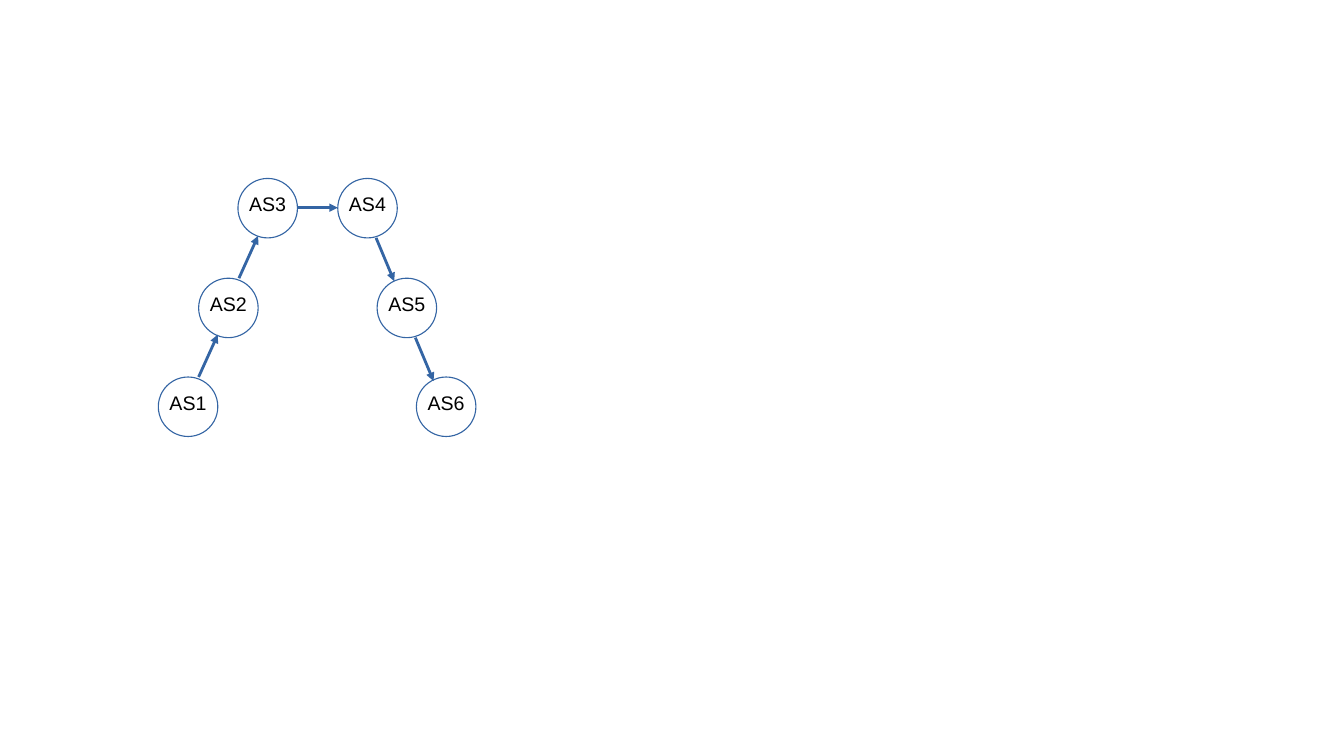
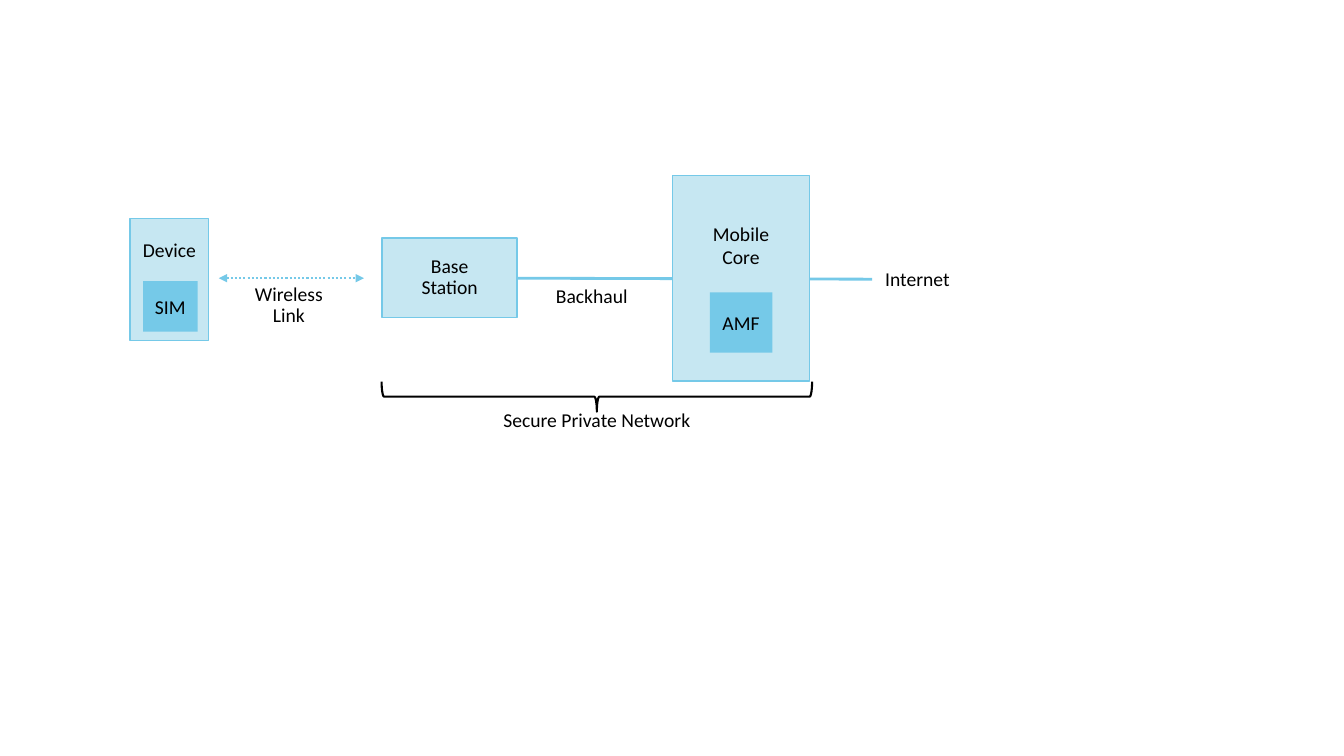
from lxml import etree
from pptx import Presentation
from pptx.dml.color import RGBColor
from pptx.enum.dml import MSO_LINE
from pptx.enum.shapes import MSO_CONNECTOR, MSO_SHAPE
from pptx.enum.text import MSO_ANCHOR, PP_ALIGN
from pptx.oxml.ns import qn
from pptx.util import Emu, Pt

PX = 9144  # 100 px to the inch
BLACK, WHITE = "000000", "FFFFFF"
NAVY, SKY, PALE = "3465A4", "75C9E8", "C6E7F2"
NODE = 59  # diameter of an AS node


def px(n):
    return Emu(n * PX)


def rgb(color):
    return RGBColor.from_string(color)


def write(sp, text, font="Calibri", size=14, color=BLACK, anchor=MSO_ANCHOR.TOP,
          insets=(10, 5, 10, 5), spacing=None, wrap=True):
    """Fill a shape with centred text, one paragraph per line."""
    tf = sp.text_frame
    tf.word_wrap = wrap
    tf.vertical_anchor = anchor
    tf.margin_left, tf.margin_top, tf.margin_right, tf.margin_bottom = map(px, insets)
    for i, line in enumerate(text.split("\n")):
        p = tf.add_paragraph() if i else tf.paragraphs[0]
        p.alignment = PP_ALIGN.CENTER
        p.line_spacing = spacing
        r = p.add_run()
        r.text = line
        r.font.name, r.font.size, r.font.color.rgb = font, Pt(size), rgb(color)


def shape(s, kind, x, y, w, h, fill=None, line=None, weight=1):
    sp = s.shapes.add_shape(kind, px(x), px(y), px(w), px(h))
    sp.shadow.inherit = False
    if fill:
        sp.fill.solid()
        sp.fill.fore_color.rgb = rgb(fill)
    else:
        sp.fill.background()
    if line:
        sp.line.color.rgb = rgb(line)
        sp.line.width = Pt(weight)
    else:
        sp.line.fill.background()
    return sp


def box(s, x, y, w, h, text, fill=PALE, line=SKY, **fmt):
    write(shape(s, MSO_SHAPE.RECTANGLE, x, y, w, h, fill, line), text, **fmt)


def label(s, x, y, w, h, text, **fmt):
    write(s.shapes.add_textbox(px(x), px(y), px(w), px(h)), text, **fmt)


def connect(s, x1, y1, x2, y2, color, weight, ends=(), dash=None):
    """Draw a line; ends names the ends that carry a triangle."""
    c = s.shapes.add_connector(MSO_CONNECTOR.STRAIGHT, px(x1), px(y1), px(x2), px(y2))
    c.line.color.rgb = rgb(color)
    c.line.width = Pt(weight)
    if dash:
        c.line.dash_style = dash
    ln = c.line._get_or_add_ln()
    for end in ends:
        etree.SubElement(ln, qn(f"a:{end}"), type="triangle")
    etree.SubElement(c._element.spPr, qn("a:effectLst"))


def as_path_slide(s):
    # Top left corner of each node, and the way to the next one
    nodes = [(157, 374, "up"), (197, 276, "up"), (236, 177, "right"),
             (335, 177, "down"), (374, 276, "down"), (413, 374, None)]
    # Arrow start and end, relative to the node's corner
    steps = {"up": (40, 0, 59, -42), "right": (NODE, 29, 99, 29),
             "down": (38, NODE, 56, 102)}
    for i, (x, y, _) in enumerate(nodes, 1):
        sp = shape(s, MSO_SHAPE.OVAL, x, y, NODE, NODE, WHITE, NAVY, 0.79)
        write(sp, f"AS{i}", font="Arial", anchor=MSO_ANCHOR.MIDDLE,
              insets=(0, 0, 0, 8), wrap=False)
    for x, y, way in nodes[:-1]:
        dx1, dy1, dx2, dy2 = steps[way]
        connect(s, x + dx1, y + dy1, x + dx2, y + dy2, NAVY, 0, ["tailEnd"])


def mobile_network_slide(s):
    middle = MSO_ANCHOR.MIDDLE
    # Links
    connect(s, 865, 277, 513, 276, SKY, 2)
    connect(s, 217, 276, 361, 276, SKY, 1.5, ["headEnd", "tailEnd"], MSO_LINE.ROUND_DOT)
    # Network elements and their inner parts
    box(s, 379, 236, 134, 79, "Base\nStation", anchor=middle, spacing=0.9)
    box(s, 129, 217, 78, 121, "Device", insets=(10, 19, 10, 5))
    box(s, 142, 279, 54, 50, "SIM", SKY, None, anchor=middle)
    box(s, 667, 174, 136, 204, "Mobile\nCore", insets=(10, 46, 10, 5))
    box(s, 704, 290, 62, 60, "AMF", SKY, None, anchor=middle)
    # Brace under the private network
    brace = shape(s, MSO_SHAPE.LEFT_BRACE, 577, 180, 30, 427, None, BLACK, 1.5)
    brace.rotation = 270
    # Captions
    label(s, 448, 400, 288, 34, "Secure Private Network")
    label(s, 497, 277, 180, 34, "Backhaul")
    label(s, 214, 277, 145, 53, "Wireless\nLink", spacing=0.9)
    label(s, 820, 260, 180, 34, "Internet")


def main():
    prs = Presentation()
    prs.slide_width, prs.slide_height = px(1333), px(750)
    for build in (as_path_slide, mobile_network_slide):
        build(prs.slides.add_slide(prs.slide_layouts[6]))
    prs.save("out.pptx")


if __name__ == "__main__":
    main()
